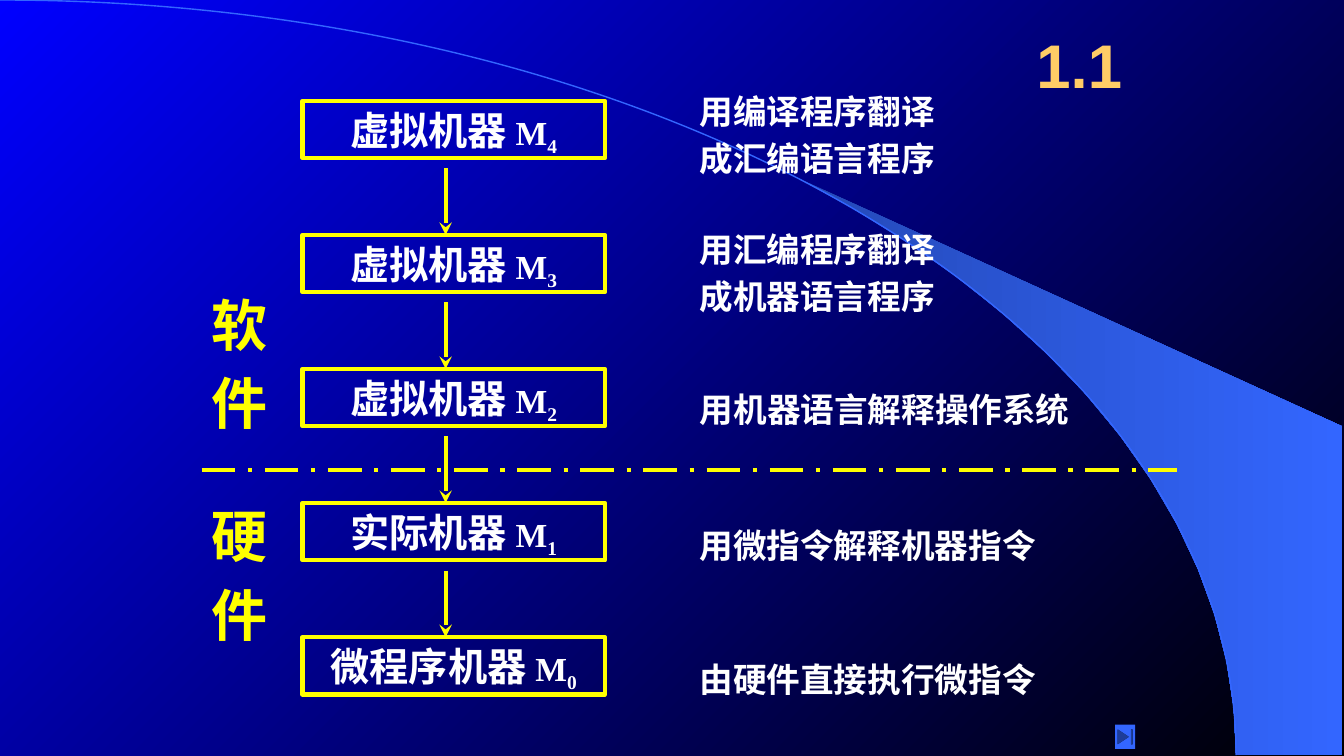
from math import cos, radians, sin

from pptx import Presentation
from pptx.dml.color import RGBColor
from pptx.enum.dml import MSO_LINE
from pptx.enum.shapes import MSO_CONNECTOR, MSO_SHAPE
from pptx.enum.text import MSO_ANCHOR, PP_ALIGN
from pptx.oxml.xmlchemy import OxmlElement
from pptx.util import Inches, Pt

CJK = "Noto Sans CJK SC"
YELLOW, WHITE, BLUE = "FFFF00", "FFFFFF", "3366FF"

MACHINES = [("虚拟机器 ", "4"), ("虚拟机器 ", "3"), ("虚拟机器 ", "2"),
            ("实际机器 ", "1"), ("微程序机器 ", "0")]
EXPLANATIONS = [
    ("用编译程序翻译\n成汇编语言程序", (6.82, 0.85, 2.57, 0.99)),
    ("用汇编程序翻译\n成机器语言程序", (6.82, 2.22, 2.57, 0.99)),
    ("用机器语言解释操作系统", (6.83, 3.81, 3.89, 0.5)),
    ("用微指令解释机器指令", (6.83, 5.16, 3.55, 0.5)),
    ("由硬件直接执行微指令", (6.83, 6.49, 3.55, 0.5)),
]


def paint(color_format, hex_color):
    color_format.rgb = RGBColor.from_string(hex_color)


def set_gradient(fill, start, end, angle):
    fill.gradient()
    fill.gradient_angle = angle
    for stop, hex_color in zip(fill.gradient_stops, (start, end)):
        paint(stop.color, hex_color)


def format_run(run, size, hex_color, typeface=CJK):
    run.font.size, run.font.bold, run.font.name = Pt(size), True, typeface
    paint(run.font.color, hex_color)
    east_asian = OxmlElement("a:ea")
    east_asian.set("typeface", typeface)
    run._r.get_or_add_rPr().append(east_asian)


def set_spacing(frame, size, line_factor):
    for index, paragraph in enumerate(frame.paragraphs):
        paragraph.alignment = PP_ALIGN.CENTER
        paragraph.line_spacing = Pt(size * line_factor)
        paragraph.space_before = Pt(size * 0.2 if index else 0)


def add_label(slide, box, text, size, hex_color):
    frame = slide.shapes.add_textbox(*map(Inches, box)).text_frame
    frame.word_wrap = False
    frame.text = text
    set_spacing(frame, size, 1.2)
    for paragraph in frame.paragraphs:
        for run in paragraph.runs:
            format_run(run, size, hex_color)


def add_line(slide, start, end):
    line = slide.shapes.add_connector(
        MSO_CONNECTOR.STRAIGHT, *map(Inches, start + end))
    paint(line.line.color, YELLOW)
    line.line.width = Pt(3)
    line._element.spPr.append(OxmlElement("a:effectLst"))
    return line


def add_outline(slide, points, close):
    points = [(Inches(x), Inches(y)) for x, y in points]
    builder = slide.shapes.build_freeform(*points[0])
    builder.add_line_segments(points[1:], close=close)
    outline = builder.convert_to_shape()
    outline.shadow.inherit = False
    return outline


def bend_into_curve(outline):
    """Turn three straight segments into one cubic curve."""
    segments = outline._element.xpath(".//a:lnTo")
    curve = OxmlElement("a:cubicBezTo")
    segments[0].addprevious(curve)
    for segment in segments:
        curve.append(segment[0])
        segment.getparent().remove(segment)


def draw_backdrop(slide, width, height):
    set_gradient(slide.background.fill, "0000FF", "000000", 315)

    # Swoosh to the right of the rim
    angles = [radians(40 + 50 * step / 14) for step in range(15)]
    inner_edge = [(width * sin(a), height * (1 - cos(a))) for a in angles]
    swoosh = add_outline(slide, inner_edge + [(13.31, height), (13.31, 4.23)], True)
    set_gradient(swoosh.fill, "2449B6", BLUE, 0)
    swoosh.line.fill.background()

    # Quarter-ellipse rim
    rim = add_outline(
        slide, [(0, 0), (6.77, 0), (width, 3.35), (width, height)], False)
    bend_into_curve(rim)
    rim.fill.background()
    paint(rim.line.color, BLUE)
    rim.line.width = Pt(1)


def place_title(slide, box):
    title = slide.shapes.title
    title.left, title.top, title.width, title.height = map(Inches, box)
    frame = title.text_frame
    frame.text = "1.1"
    frame.vertical_anchor = MSO_ANCHOR.MIDDLE
    frame.paragraphs[0].alignment = PP_ALIGN.CENTER
    format_run(frame.paragraphs[0].runs[0], 44, "FFCC66", "Arial")


def add_machine(slide, box, name, level):
    machine = slide.shapes.add_shape(MSO_SHAPE.RECTANGLE, *map(Inches, box))
    machine.shadow.inherit = False
    machine.fill.background()
    paint(machine.line.color, YELLOW)
    machine.line.width = Pt(3)
    frame = machine.text_frame
    frame.vertical_anchor = MSO_ANCHOR.TOP
    frame.text = name
    paragraph = frame.paragraphs[0]
    format_run(paragraph.runs[0], 28, WHITE)
    for text in ("M", level):
        run = paragraph.add_run()
        run.text = text
        format_run(run, 24, WHITE, "Times New Roman")
    run._r.get_or_add_rPr().set("baseline", "-25000")
    set_spacing(frame, 28, 1.32)


def draw_hierarchy(slide, left, top, width, height, pitch):
    for index, (name, level) in enumerate(MACHINES):
        add_machine(slide, (left, top + index * pitch, width, height), name, level)
    # Arrows down to the next machine
    for index in range(len(MACHINES) - 1):
        x, y = left + 1.42, top + index * pitch
        arrow = add_line(slide, (x, y + 0.67), (x, y + pitch))
        tail = OxmlElement("a:tailEnd")
        tail.set("type", "stealth")
        arrow.line._get_or_add_ln().append(tail)


def draw_division(slide, left, y, width):
    divider = add_line(slide, (left, y), (left + width, y))
    divider.line.dash_style = MSO_LINE.LONG_DASH_DOT
    add_label(slide, (left, y - 1.83, 0.76, 1.57), "软\n件", 40, YELLOW)
    add_label(slide, (left, y + 0.27, 0.76, 1.57), "硬\n件", 40, YELLOW)


def add_end_button(slide, box):
    button = slide.shapes.add_shape(MSO_SHAPE.ACTION_BUTTON_END, *map(Inches, box))
    button.shadow.inherit = False
    button.fill.solid()
    paint(button.fill.fore_color, BLUE)
    button.line.fill.background()


def main():
    deck = Presentation()
    deck.slide_width, deck.slide_height = Inches(13.33), Inches(7.5)
    slide = deck.slides.add_slide(deck.slide_layouts[5])
    draw_backdrop(slide, 12.26, 7.49)
    place_title(slide, (10.08, 0.17, 1.25, 0.92))
    for text, box in EXPLANATIONS:
        add_label(slide, box, text, 24, WHITE)
    draw_division(slide, 2, 4.66, 9.67)
    draw_hierarchy(slide, 3, 1, 3, 0.57, 1.33)
    add_end_button(slide, (11.06, 7.19, 0.2, 0.24))
    deck.save("out.pptx")


if __name__ == "__main__":
    main()
